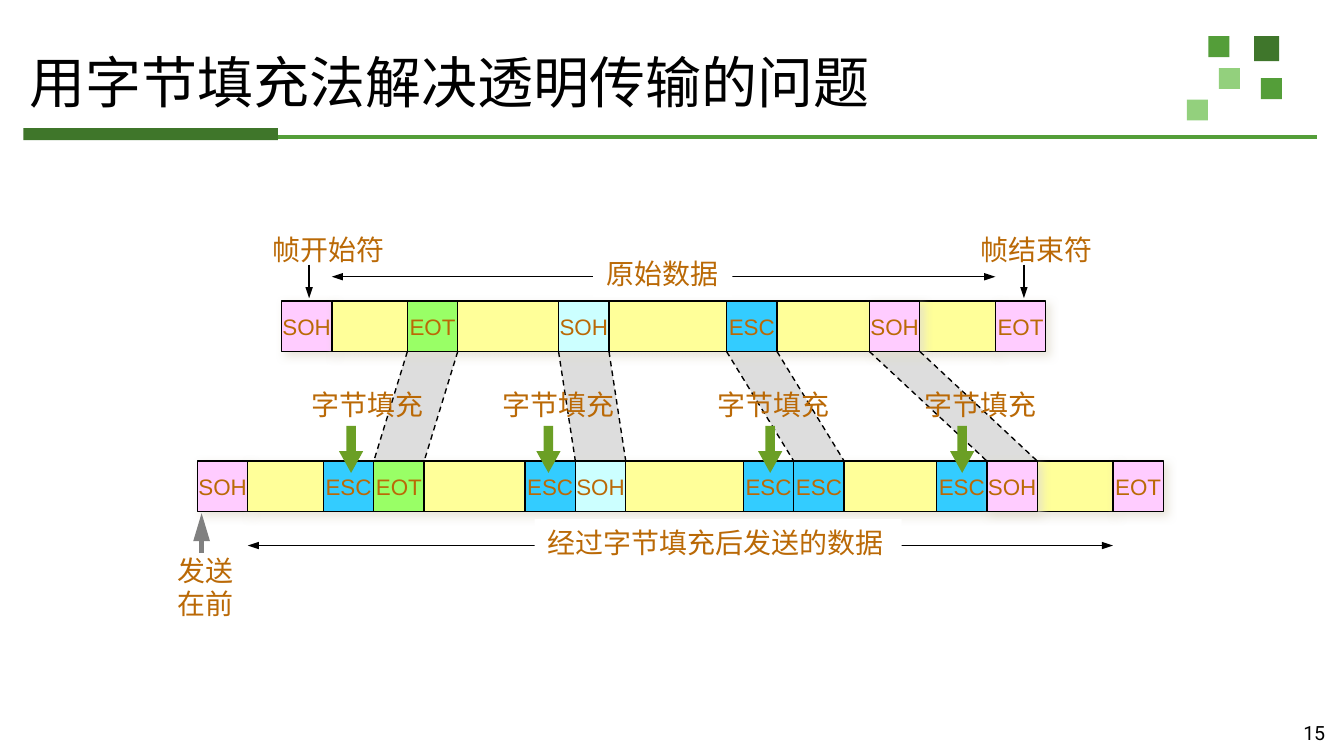
from dataclasses import dataclass
from typing import Optional

import lxml.etree
import pptx
import pptx.dml.color
import pptx.enum.dml
import pptx.enum.shapes
import pptx.enum.text
import pptx.oxml
import pptx.oxml.ns
import pptx.util

COLUMNS = 160  # square grid across the slide width
SLIDE_WIDTH = pptx.util.Inches(10)
SLIDE_HEIGHT = SLIDE_WIDTH * 9 // 16
CELL = 6
SENT_ROW, ORIGINAL_ROW = 54.9, 35.85
BLACK, WHITE, BROWN, GREY = "000000", "FFFFFF", "BA6906", "808080"
DARK_GREEN, GREEN, LIGHT_GREEN, ARROW_GREEN = "3F762B", "549E39", "93D07D", "6B9F25"
PINK, YELLOW, LIME, CYAN, PALE = "FFCCFF", "FFFF99", "99FF66", "33CCFF", "CCFFFF"
SHAPES = pptx.enum.shapes.MSO_SHAPE
ALIGN = pptx.enum.text.PP_ALIGN


@dataclass(frozen=True)
class Byte:
    column: float
    name: str
    fill: str


@dataclass(frozen=True)
class Label:
    text: str
    left: float
    top: float
    width: float = 16.6
    height: float = 5.6
    fill: Optional[str] = None


@dataclass(frozen=True)
class Arrow:
    start: tuple[float, float]
    end: tuple[float, float]
    color: str = BLACK
    weight: float = 0.75
    both_ends: bool = False
    head_width: str = "sm"
    head_length: str = "med"


ORIGINAL_FRAME = [
    Byte(33.5, "SOH", PINK), Byte(48.5, "EOT", LIME), Byte(66.5, "SOH", PALE),
    Byte(86.5, "ESC", CYAN), Byte(103.5, "SOH", PINK), Byte(118.5, "EOT", PINK),
]
SENT_FRAME = [
    Byte(23.5, "SOH", PINK), Byte(38.5, "ESC", CYAN), Byte(44.5, "EOT", LIME),
    Byte(62.5, "ESC", CYAN), Byte(68.5, "SOH", PALE), Byte(88.5, "ESC", CYAN),
    Byte(94.5, "ESC", CYAN), Byte(111.5, "ESC", CYAN), Byte(117.5, "SOH", PINK),
    Byte(132.5, "EOT", PINK),
]
STUFFED_COLUMNS = [(48.5, 44.5), (66.5, 68.5), (86.5, 94.5), (103.5, 117.5)]
STUFFING_MARKS = [(35.55, 40.35), (58.25, 63.85), (83.8, 90.25), (108.5, 113.1)]
LABELS = [
    Label("原始数据", 70.6, 29.8, fill=WHITE),
    Label("经过字节填充后发送的数据", 63.65, 61.8, width=43.7, fill=WHITE),
    Label("发送\n在前", 19.55, 65.1, width=9.9, height=9.8),
    Label("帧开始符", 30.9, 26.9),
    Label("帧结束符", 115.1, 26.9),
]
ARROWS = [
    Arrow((39.5, 32.95), (118.5, 32.95), both_ends=True),
    Arrow((29.5, 64.95), (132.5, 64.95), both_ends=True),
    Arrow((24, 65.8), (24, 61.1), GREY, 3, head_width="med", head_length="lg"),
    Arrow((36.8, 31.5), (36.8, 35.5)),
    Arrow((121.9, 31.5), (121.9, 35.5)),
]
SQUARES = [
    (149.3, 4.3, 3, DARK_GREEN), (143.85, 4.3, 2.5, GREEN), (150.1, 9.3, 2.5, GREEN),
    (145.1, 8.1, 2.5, LIGHT_GREEN), (141.3, 11.85, 2.5, LIGHT_GREEN),
]


def grid(*units: float) -> list[int]:
    return [round(unit * SLIDE_WIDTH / COLUMNS) for unit in units]


def rgb(value: str) -> pptx.dml.color.RGBColor:
    return pptx.dml.color.RGBColor.from_string(value)


def paint(shape, fill: str, outlined: bool = False) -> None:
    shape.shadow.inherit = False
    shape.fill.solid()
    shape.fill.fore_color.rgb = rgb(fill)
    if outlined:
        shape.line.color.rgb = rgb(BLACK)
        shape.line.width = pptx.util.Pt(0.75)
    else:
        shape.line.fill.background()


def add_block(slide, kind, left: float, top: float, width: float, height: float,
              fill: str, outlined: bool = False):
    shape = slide.shapes.add_shape(kind, *grid(left, top, width, height))
    paint(shape, fill, outlined)
    return shape


def cast_shadow(shape) -> None:
    effects = shape._element.spPr.find(pptx.oxml.ns.qn("a:effectLst"))
    effects.append(pptx.oxml.parse_xml(
        f'<a:outerShdw {pptx.oxml.ns.nsdecls("a")} blurRad="63500" dist="38100" '
        'dir="2700000" rotWithShape="0"><a:srgbClr val="E3DED1">'
        '<a:alpha val="75000"/></a:srgbClr></a:outerShdw>'))


def write(shape, text: str, size: float, font: str, color: str, align=ALIGN.LEFT) -> None:
    shape.text_frame.text = text
    for para in shape.text_frame.paragraphs:
        para.alignment = align
        for span in para.runs:
            span.font.size = pptx.util.Pt(size)
            span.font.name = font
            span.font.color.rgb = rgb(color)


def draw_byte(slide, row: float, byte: Byte) -> None:
    box = add_block(slide, SHAPES.RECTANGLE, byte.column, row, CELL, CELL, byte.fill, True)
    if byte.fill == PINK:
        cast_shadow(box)
    write(box, byte.name, 12, "Arial", BROWN, ALIGN.CENTER)
    box.text_frame.word_wrap = False
    box.text_frame.vertical_anchor = pptx.enum.text.MSO_ANCHOR.MIDDLE


def draw_frame(slide, row: float, frame: list[Byte]) -> None:
    first, *others = frame
    draw_byte(slide, row, first)
    start = first.column + CELL
    data = add_block(slide, SHAPES.RECTANGLE, start, row,
                     others[-1].column - start, CELL, YELLOW, True)
    cast_shadow(data)
    for byte in others:
        draw_byte(slide, row, byte)


def draw_band(slide, upper: float, lower: float) -> None:
    top, bottom = ORIGINAL_ROW + CELL, SENT_ROW
    corners = [(upper, top), (upper + CELL, top), (lower + CELL, bottom), (lower, bottom)]
    points = [tuple(grid(*corner)) for corner in corners]
    builder = slide.shapes.build_freeform(*points[0])
    builder.add_line_segments(points[1:], close=True)
    paint(builder.convert_to_shape(), "DDDDDD")


def draw_line(slide, start: tuple[float, float], end: tuple[float, float],
              color: str = BLACK, weight: float = 0.75):
    line = slide.shapes.add_connector(
        pptx.enum.shapes.MSO_CONNECTOR.STRAIGHT, *grid(*start, *end))
    line.line.color.rgb = rgb(color)
    line.line.width = pptx.util.Pt(weight)
    lxml.etree.SubElement(line._element.spPr, pptx.oxml.ns.qn("a:effectLst"))
    return line


def draw_arrow(slide, arrow: Arrow) -> None:
    line = draw_line(slide, arrow.start, arrow.end, arrow.color, arrow.weight)
    outline = line.line._get_or_add_ln()
    for end in ("headEnd", "tailEnd") if arrow.both_ends else ("tailEnd",):
        lxml.etree.SubElement(outline, pptx.oxml.ns.qn(f"a:{end}"), type="triangle",
                              w=arrow.head_width, len=arrow.head_length)


def draw_label(slide, label: Label) -> None:
    place = (label.left, label.top, label.width, label.height)
    if label.fill:
        box = add_block(slide, SHAPES.RECTANGLE, *place, label.fill)
        box.text_frame.vertical_anchor = pptx.enum.text.MSO_ANCHOR.TOP
    else:
        box = slide.shapes.add_textbox(*grid(*place))
    write(box, label.text, 15, "Arial", BROWN)
    box.text_frame.word_wrap = False


def draw_page_furniture(slide) -> None:
    for left, top, side, fill in SQUARES:
        add_block(slide, SHAPES.RECTANGLE, left, top, side, side, fill)
    add_block(slide, SHAPES.RECTANGLE, 2.8, 15.25, 30.3, 1.45, "3F762A")
    draw_line(slide, (33.1, 16.35), (156.8, 16.35), GREEN, 2)
    title = slide.shapes.add_textbox(*grid(2.4, 4.5, 154, 11.4))
    write(title, "用字节填充法解决透明传输的问题", 30, "Times New Roman", BLACK)
    frame = title.text_frame
    frame.word_wrap = True
    frame.vertical_anchor = pptx.enum.text.MSO_ANCHOR.MIDDLE
    frame.margin_left = frame.margin_right = pptx.util.Inches(0.07)
    frame.margin_top = frame.margin_bottom = pptx.util.Inches(0.04)
    frame.paragraphs[0].line_spacing = 0.9
    number = slide.shapes.add_textbox(*grid(150.05, 85.1, 9.3, 4.8))
    write(number, "15", 10.5, "Roboto", BLACK, ALIGN.RIGHT)
    number.text_frame.word_wrap = True


def main() -> None:
    deck = pptx.Presentation()
    deck.slide_width, deck.slide_height = SLIDE_WIDTH, SLIDE_HEIGHT
    slide = deck.slides.add_slide(deck.slide_layouts[6])
    draw_page_furniture(slide)
    for upper, lower in STUFFED_COLUMNS:
        draw_band(slide, upper, lower)
    draw_frame(slide, ORIGINAL_ROW, ORIGINAL_FRAME)
    draw_frame(slide, SENT_ROW, SENT_FRAME)
    for upper, lower in STUFFED_COLUMNS:
        for side in (0, CELL):
            edge = draw_line(slide, (upper + side, ORIGINAL_ROW + CELL), (lower + side, SENT_ROW))
            edge.line.dash_style = pptx.enum.dml.MSO_LINE.DASH
    for arrow in ARROWS:
        draw_arrow(slide, arrow)
    for label in LABELS:
        draw_label(slide, label)
    for label_left, arrow_left in STUFFING_MARKS:
        draw_label(slide, Label("字节填充", label_left, 45.3))
        pointer = add_block(slide, SHAPES.DOWN_ARROW, arrow_left, 50.7, 2.9, 5.6, ARROW_GREEN)
        pointer.adjustments[0], pointer.adjustments[1] = 0.39, 0.9
    deck.save("out.pptx")


if __name__ == "__main__":
    main()
